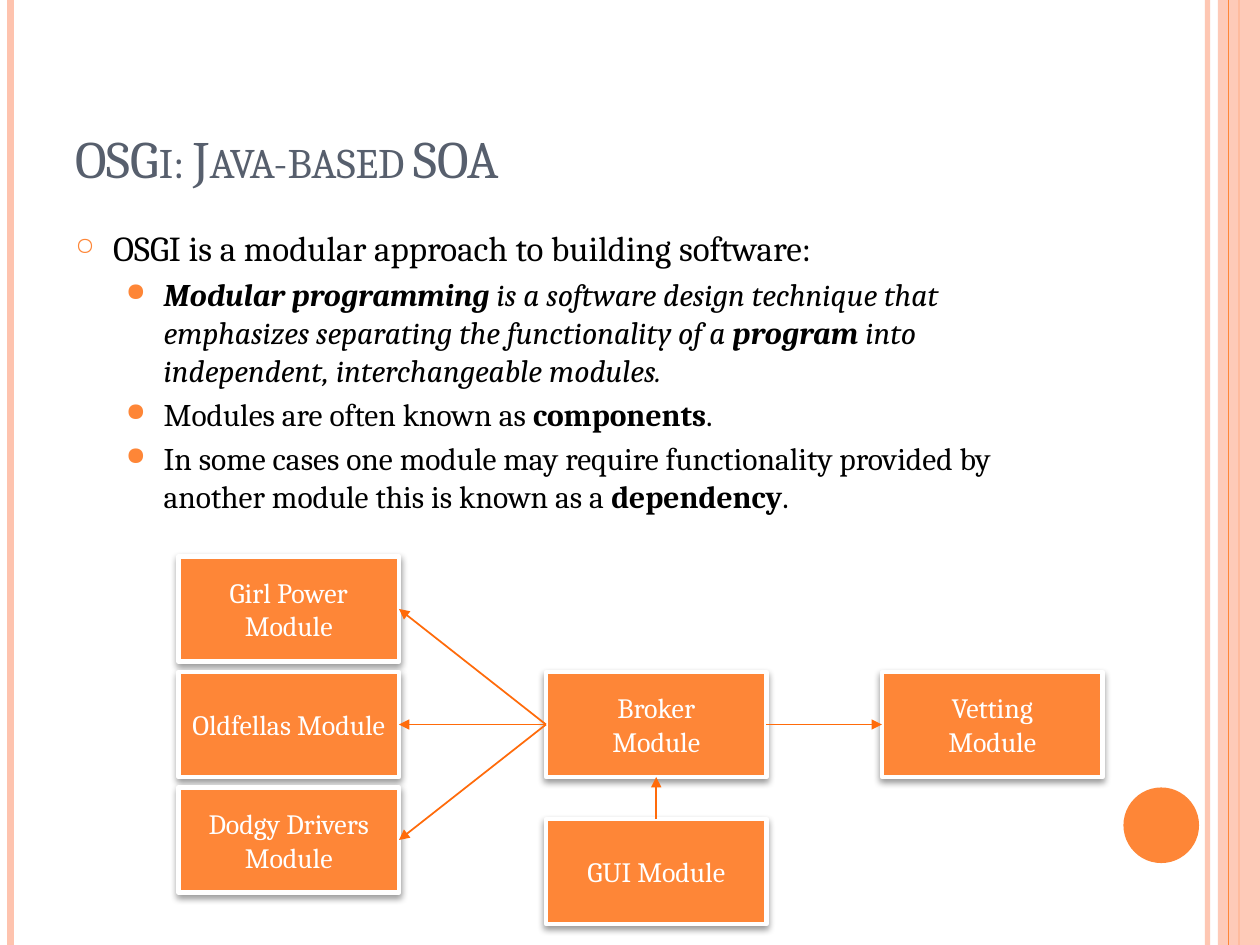
from lxml.etree import SubElement
from pptx import Presentation
from pptx.dml.color import RGBColor
from pptx.enum.shapes import MSO_CONNECTOR, MSO_SHAPE
from pptx.enum.text import MSO_ANCHOR, PP_ALIGN
from pptx.oxml.ns import qn
from pptx.util import Pt

PX = 7620
FONT = "Cambria"
ORANGE, PEACH, WHITE = "FE8637", "FEC3AE", "FFFFFF"

TITLE = "OSGi: Java-based SOA"
BODY = [
    (0, [("OSGI is a modular approach to building software:", "")]),
    (1, [("Modular programming", "bi"),
         (" is a software design technique that emphasizes separating the functionality of a ", "i"),
         ("program", "bi"),
         (" into independent, interchangeable modules.", "i")]),
    (1, [("Modules are often known as ", ""), ("components", "b"), (".", "")]),
    (1, [("In some cases one module may require functionality provided by another module this is known as a ", ""),
         ("dependency", "b"), (".", "")]),
]
LEVELS = [
    {"size": 20, "left": 36, "gap": 6, "mark": "○", "scale": 70},
    {"size": 18, "left": 84, "gap": 3.6, "mark": "●", "scale": 80},
]
WIDE, HIGH, STEP = 210, 100, 110
LEFT, MID, RIGHT, TOP = 170, 520, 840, 530
BOXES = {
    "girl": (LEFT, TOP, ["Girl Power Module"]),
    "old": (LEFT, TOP + STEP, ["Oldfellas Module"]),
    "dodgy": (LEFT, TOP + 2 * STEP, ["Dodgy Drivers Module"]),
    "broker": (MID, TOP + STEP, ["Broker", "Module"]),
    "vetting": (RIGHT, TOP + STEP, ["Vetting", "Module"]),
    "gui": (MID, 780, ["GUI Module"]),
}
ARROWS = [
    ("broker", 3, "vetting", 1),
    ("broker", 1, "girl", 3),
    ("broker", 1, "old", 3),
    ("broker", 1, "dodgy", 3),
    ("gui", 0, "broker", 2),
]

deck = Presentation()
deck.slide_width, deck.slide_height = 1200 * PX, 900 * PX
slide = deck.slides.add_slide(deck.slide_layouts[6])
shapes = slide.shapes


def rgb(code):
    return RGBColor.from_string(code)


def node(base, tag, **attrs):
    return SubElement(base, qn(tag), attrs)


def fade(owner, alpha):
    tint = next(owner.iter(qn("a:srgbClr")))
    node(tint, "a:alpha", val=str(alpha * 1000))


def write(para, text, size, color, style=""):
    run = para.add_run()
    run.text = text
    font = run.font
    font.name, font.size = FONT, Pt(size)
    font.bold, font.italic = "b" in style, "i" in style
    font.color.rgb = rgb(color)
    return run


def draw(kind, x, y, w, h, color):
    shape = shapes.add_shape(kind, x * PX, y * PX, w * PX, h * PX)
    shape.shadow.inherit = False
    shape.fill.solid()
    shape.fill.fore_color.rgb = rgb(color)
    shape.line.fill.background()
    return shape


def rule(x1, y1, x2, y2, color, width):
    line = shapes.add_connector(
        MSO_CONNECTOR.STRAIGHT, x1 * PX, y1 * PX, x2 * PX, y2 * PX)
    line.line.color.rgb = rgb(color)
    line.line.width = Pt(width)
    node(line.element.spPr, "a:effectLst")
    return line


def frame(x, y, w, h):
    text = shapes.add_textbox(x * PX, y * PX, w * PX, h * PX).text_frame
    text.word_wrap = True
    return text


def paras(text, count):
    return [text.paragraphs[0]] + [text.add_paragraph() for _ in range(count - 1)]


def bullet(para, look):
    para.space_before = Pt(look["gap"])
    props = para._p.get_or_add_pPr()
    props.set("marL", str(look["left"] * PX))
    props.set("indent", str(-36 * PX))
    node(node(props, "a:buClr"), "a:srgbClr", val=ORANGE)
    node(props, "a:buSzPct", val=str(look["scale"] * 1000))
    node(props, "a:buChar", char=look["mark"])


def module(x, y, words):
    box = draw(MSO_SHAPE.RECTANGLE, x, y, WIDE, HIGH, ORANGE)
    box.line.color.rgb = rgb(WHITE)
    box.line.width = Pt(2.75)
    glow = node(box.element.spPr.find(qn("a:effectLst")), "a:outerShdw",
                blurRad=str(Pt(4)), dist=str(Pt(2)), dir="5400000", rotWithShape="0")
    node(glow, "a:srgbClr", val="000000")
    fade(glow, 40)
    text = box.text_frame
    text.word_wrap = True
    text.vertical_anchor = MSO_ANCHOR.MIDDLE
    for para, word in zip(paras(text, len(words)), words):
        para.alignment = PP_ALIGN.CENTER
        write(para, word, 16, WHITE)
    return box


def arrow(start, side, end, face):
    line = rule(0, 0, 1, 1, "FF6B0A", 1)
    line.begin_connect(start, side)
    line.end_connect(end, face)
    node(line.element.spPr.find(qn("a:ln")), "a:tailEnd", type="triangle")


edge = rule(1150, 0, 1150, 900, PEACH, 3)
fade(edge.element.spPr, 93)
rule(10, 0, 10, 900, PEACH, 4.5)
rule(1180, 0, 1180, 900, ORANGE, 1.5)
band = draw(MSO_SHAPE.RECTANGLE, 1160, 0, 40, 900, PEACH)
fade(band.element.spPr, 87)
rule(1170, 0, 1170, 900, ORANGE, 0.75)
draw(MSO_SHAPE.OVAL, 1070, 750, 72, 72, ORANGE)

head = frame(60, 36, 980, 150)
head.vertical_anchor = MSO_ANCHOR.BOTTOM
title = write(head.paragraphs[0], TITLE, 30, "575F6D")
title._r.get_or_add_rPr().set("cap", "small")

body = frame(60, 210, 980, 640)
for para, (level, runs) in zip(paras(body, len(BODY)), BODY):
    look = LEVELS[level]
    para.level = level
    bullet(para, look)
    for text, style in runs:
        write(para, text, look["size"], "000000", style)

boxes = {name: module(*spec) for name, spec in BOXES.items()}
for start, side, end, face in ARROWS:
    arrow(boxes[start], side, boxes[end], face)

deck.save("out.pptx")
